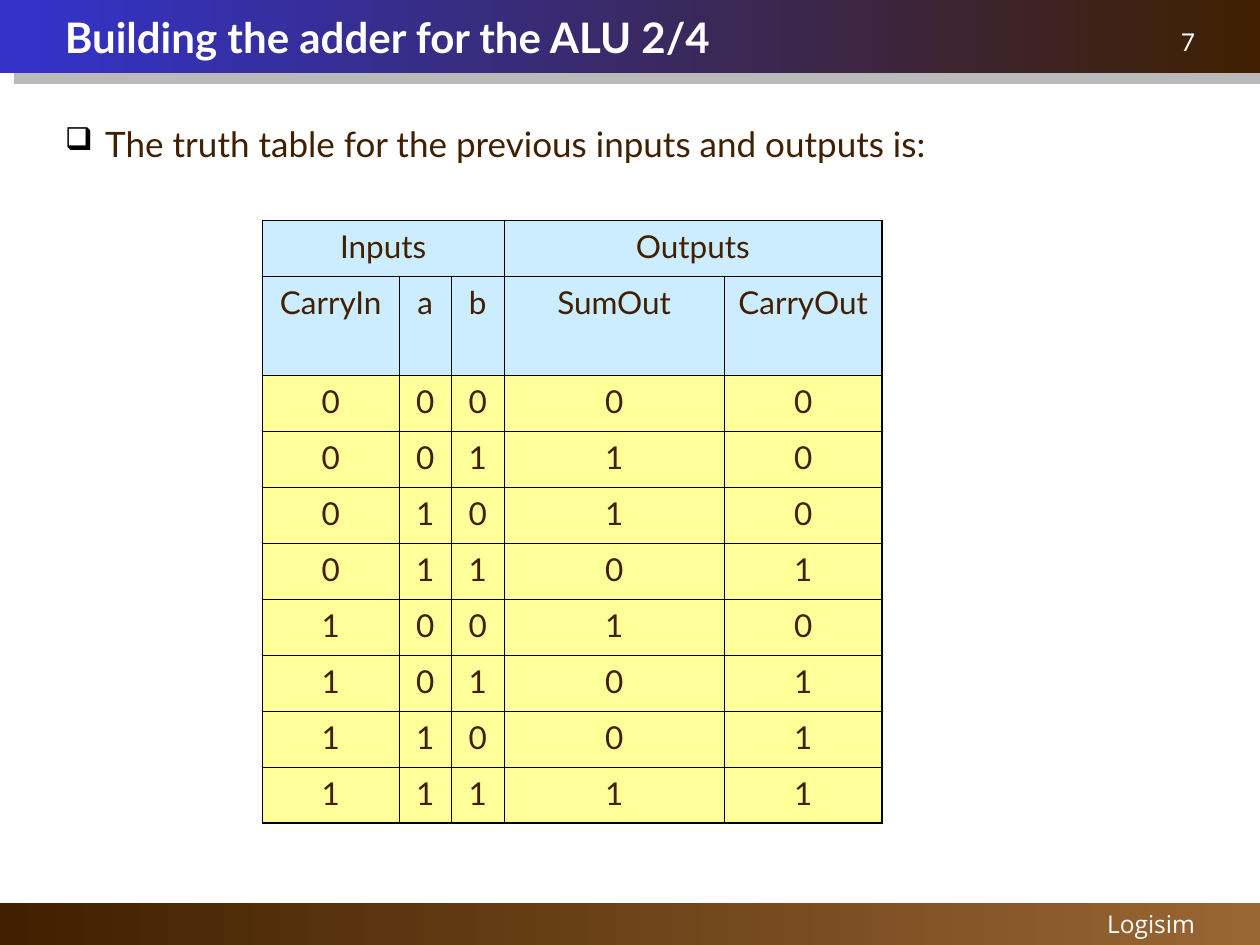
from itertools import product

from lxml.etree import SubElement
from pptx import Presentation
from pptx.dml.color import RGBColor
from pptx.enum.shapes import MSO_SHAPE
from pptx.enum.text import MSO_ANCHOR, PP_ALIGN
from pptx.oxml.ns import qn
from pptx.util import Inches, Pt

COLORS = {
    "brown": "402000", "tan": "996633", "blue": "3333CC", "white": "FFFFFF",
    "black": "000000", "shadow": "777777", "head": "CCECFF", "body": "FFFF99",
}
COLUMNS, ROWS = 120, 90  # grid over the whole slide


def rgb(name):
    return RGBColor.from_string(COLORS[name])


def add_color(parent, name):
    return SubElement(parent, qn("a:srgbClr"), val=COLORS[name])


class SlideBuilder:
    font = {"name": "Lato", "size": Pt(18), "bold": False}
    color = "brown"
    outer_line, inner_line = Pt(1.08), Pt(0.45)

    def __init__(self, deck):
        self.slide = deck.slides.add_slide(deck.slide_layouts[6])
        self.column = deck.slide_width / COLUMNS
        self.row = deck.slide_height / ROWS

    def place(self, left, top, width, height):
        return (round(left * self.column), round(top * self.row),
                round(width * self.column), round(height * self.row))

    def add_line(self, paragraph, text, color=None, align=PP_ALIGN.LEFT,
                 spacing=1.01, **font):
        paragraph.alignment = align
        paragraph.line_spacing = spacing
        run = paragraph.add_run()
        run.text = text
        for key, value in {**self.font, **font}.items():
            setattr(run.font, key, value)
        run.font.color.rgb = rgb(color or self.color)

    def bar(self, area, colors, shadow=False):
        """Band with a gradient running from right to left."""
        bar = self.slide.shapes.add_shape(MSO_SHAPE.RECTANGLE, *self.place(*area))
        bar.shadow.inherit = False
        bar.line.fill.background()
        bar.fill.gradient()
        bar.fill.gradient_angle = 180
        for stop, color in zip(bar.fill.gradient_stops, colors):
            stop.color.rgb = rgb(color)
        if shadow:
            effects = bar._element.spPr.find(qn("a:effectLst"))
            outer = SubElement(effects, qn("a:outerShdw"), blurRad="0",
                               dist=str(Pt(10.4)), dir=str(35 * 60000),
                               algn="ctr", rotWithShape="0")
            SubElement(add_color(outer, "shadow"), qn("a:alpha"), val="50000")

    def text(self, area, text, anchor=MSO_ANCHOR.TOP, bullet=None, **style):
        frame = self.slide.shapes.add_textbox(*self.place(*area)).text_frame
        frame.word_wrap = True
        frame.vertical_anchor = anchor
        paragraph = frame.paragraphs[0]
        if bullet:
            self.bullet(paragraph, bullet)
        self.add_line(paragraph, text, **style)

    def bullet(self, paragraph, mark):
        properties = paragraph._p.get_or_add_pPr()
        indent = Inches(0.32)
        properties.set("marL", str(indent))
        properties.set("indent", str(-indent))
        add_color(SubElement(properties, qn("a:buClr")), "black")
        SubElement(properties, qn("a:buSzPct"), val="90000")
        SubElement(properties, qn("a:buChar"), char=mark)

    def borders(self, cell, outer_sides):
        properties = cell._tc.get_or_add_tcPr()
        for side, outer in outer_sides.items():
            width = self.outer_line if outer else self.inner_line
            line = SubElement(properties, qn(f"a:ln{side}"), w=str(width))
            add_color(SubElement(line, qn("a:solidFill")), "black")

    def table(self, left, top, widths, heights, rows, merges, head_rows):
        area = self.place(left, top, sum(widths), sum(heights))
        table = self.slide.shapes.add_table(len(rows), len(widths), *area).table
        table.first_row = table.horz_banding = False
        for column, width in zip(table.columns, widths):
            column.width = round(width * self.column)
        for row, height in zip(table.rows, heights):
            row.height = round(height * self.row)
        for start, end in merges:
            table.cell(*start).merge(table.cell(*end))
        for r, values in enumerate(rows):
            for c, value in enumerate(values):
                cell = table.cell(r, c)
                last = c + (cell.span_width if cell.is_merge_origin else 1)
                self.borders(cell, {"L": c == 0, "R": last == len(widths),
                                    "T": r == 0, "B": r == len(rows) - 1})
                cell.fill.solid()
                cell.fill.fore_color.rgb = rgb("head" if r < head_rows else "body")
                if value != "":
                    self.add_line(cell.text_frame.paragraphs[0], str(value),
                                  align=PP_ALIGN.CENTER)


def main():
    deck = Presentation()
    deck.slide_width, deck.slide_height = Inches(10), Inches(7.5)
    page = SlideBuilder(deck)

    # Footer and header bands
    page.bar((0, 86, COLUMNS, 4), ("tan", "brown"))
    page.bar((0, 0, COLUMNS, 7), ("brown", "blue"), shadow=True)
    label = {"color": "white", "align": PP_ALIGN.RIGHT, "size": Pt(14), "spacing": 1}
    page.text((55, 86, 60, 4), "Logisim", name="Open Sans", **label)
    page.text((90, 2, 25, 4), "7", **label)

    # Title and introduction
    page.text((5, 0, 110, 7), "Building the adder for the ALU 2/4",
              anchor=MSO_ANCHOR.MIDDLE, color="white", size=Pt(24), bold=True)
    page.text((5, 11, 110, 72),
              "The truth table for the previous inputs and outputs is:",
              bullet="❑", size=Pt(20))

    # Truth table of the full adder
    headings = [["Inputs", "", "", "Outputs", ""],
                ["CarryIn", "a", "b", "SumOut", "CarryOut"]]
    truth = [[carry, a, b, (carry + a + b) % 2, (carry + a + b) // 2]
             for carry, a, b in product((0, 1), repeat=3)]
    row_height = 5.33
    page.table(25, 21, widths=[13, 5, 5, 21, 15],
               heights=[row_height, 9.45] + [row_height] * len(truth),
               rows=headings + truth,
               merges=[((0, 0), (0, 2)), ((0, 3), (0, 4))],
               head_rows=len(headings))

    deck.save("out.pptx")


if __name__ == "__main__":
    main()
